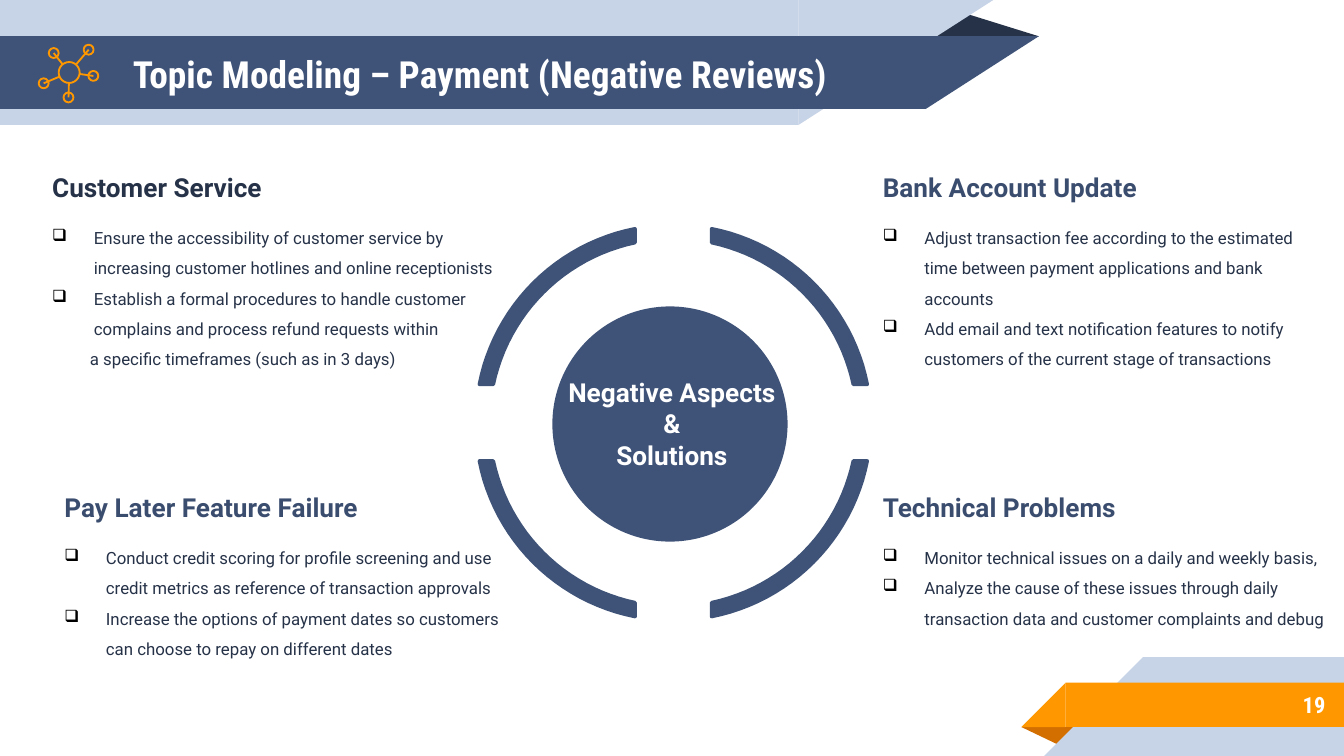
from collections import namedtuple
from itertools import product
from math import acos, asin, cos, sin

from lxml import etree
from pptx import Presentation, util as u
from pptx.dml.color import RGBColor
from pptx.enum import shapes as s, text as t
from pptx.oxml import ns

NAVY = RGBColor(0x3F, 0x53, 0x78)
HEADING = RGBColor(0x3B, 0x4D, 0x6F)
INK = RGBColor(0x26, 0x32, 0x48)
PALE = RGBColor(0xC7, 0xD3, 0xE6)
ORANGE = RGBColor(0xFF, 0x98, 0x00)
RUST = RGBColor(0xD2, 0x6F, 0x00)
WHITE = RGBColor(0xFF, 0xFF, 0xFF)
COLUMNS, ROWS = 100, 56.25
BODY, TITLE = "Roboto", "Roboto Condensed"
RIGHT_TRIANGLE = s.MSO_SHAPE.RIGHT_TRIANGLE

SECTIONS = [
    ((64.7, 12.3, 33.7), "Bank Account Update", HEADING, [
        "Adjust transaction fee according to the estimated time between payment applications and bank accounts",
        "Add email and text notification features to notify customers of the current stage of transactions"], None),
    ((64.7, 36.1, 35.3), "Technical Problems", HEADING, [
        "Monitor technical issues on a daily and weekly basis,",
        "Analyze the cause of these issues through daily transaction data and customer complaints and debug"], None),
    ((2.9, 12.3, 36.5), "Customer Service", INK, [
        "Ensure the accessibility of customer service by increasing customer hotlines and online receptionists",
        "Establish a formal procedures to handle customer complains and process refund requests within"],
     "a specific timeframes (such as in 3 days)"),
    ((3.8, 36.1, 36.5), "Pay Later Feature Failure", HEADING, [
        "Conduct credit scoring for profile screening and use credit metrics as reference of transaction approvals",
        "Increase the options of payment dates so customers can choose to repay on different dates"], None),
]


class Box(namedtuple("Box", "left top width height")):
    """A region measured in grid cells."""

    def area(self, dx, dy, width, height):
        """Return a box offset from this one's corner."""
        return Box(self.left + dx, self.top + dy, width, height)

    def emu(self):
        """Return the box as slide lengths."""
        return [cells(value) for value in self]


def cells(count):
    """Convert grid cells to a slide length."""
    return u.Inches(count * 10 / COLUMNS)


def paint(shape, fill=None, line=None, weight=1):
    """Set the fill and outline and drop the shadow."""
    shape.shadow.inherit = False
    if fill is None:
        shape.fill.background()
    else:
        shape.fill.solid()
        shape.fill.fore_color.rgb = fill
    if line is None:
        shape.line.fill.background()
    else:
        shape.line.color.rgb = line
        shape.line.width = u.Pt(weight)
    return shape


def preset(slide, kind, box, fill=None, line=None, rotation=0, flip=False):
    """Add a painted preset shape."""
    shape = paint(slide.shapes.add_shape(kind, *box.emu()), fill, line)
    shape.rotation = rotation
    if flip:
        shape._element.spPr.find(ns.qn("a:xfrm")).set("flipH", "1")
    return shape


def write(slide, box, lines, size, color, bold=False, font=BODY, align=None, middle=False):
    """Add a wrapped text box and return its paragraphs."""
    frame = slide.shapes.add_textbox(*box.emu()).text_frame
    frame.word_wrap = True
    if middle:
        frame.vertical_anchor = t.MSO_ANCHOR.MIDDLE
    frame.text = "\n".join(lines)
    for paragraph in frame.paragraphs:
        paragraph.alignment = align
        style = paragraph.font
        style.name, style.size, style.bold = font, u.Pt(size), bold
        style.color.rgb = color
    return frame.paragraphs


def indent(paragraph, margin, bullet=None):
    """Indent a paragraph, hanging a bullet when one is given."""
    props = paragraph._p.get_or_add_pPr()
    props.set("marL", str(cells(margin)))
    if bullet:
        props.set("indent", str(-cells(margin)))
        mark = etree.Element(ns.qn("a:buChar"), char=bullet)
        tint = etree.Element(ns.qn("a:buClr"))
        etree.SubElement(tint, ns.qn("a:srgbClr"), val="000000")
        place = 1 if props.find(ns.qn("a:lnSpc")) is not None else 0
        props.insert(place, tint)
        props.insert(place + 1, mark)


def fold(slide, box, color, rotation=0):
    """Add the dark folded corner of a ribbon."""
    preset(slide, s.MSO_SHAPE.ISOSCELES_TRIANGLE, box, color, rotation=rotation).adjustments[0] = 0.32


def header(slide, box, title):
    """Draw the title ribbon with its icon."""
    fold(slide, box.area(68.8, 0.9, 8.5, 1.8), INK)
    for top, length, slant, height, color in [(0, 59.4, 14.5, 9.3, PALE), (2.7, 68.9, 8.4, 5.4, NAVY)]:
        preset(slide, s.MSO_SHAPE.RECTANGLE, box.area(0, top, length, height), color)
        preset(slide, RIGHT_TRIANGLE, box.area(length, top, slant, height), color, rotation=180, flip=True)
    write(slide, box.area(8.9, 2.7, 57.5, 5.6), [title], 20, WHITE, True, TITLE, middle=True)
    network(slide, box.area(2.9, 3.3, 4.4, 4.3))


def network(slide, box):
    """Draw a hub joined to five satellite nodes."""
    hub = (2.25, 2.1)
    for x, y in [(3.7, 0.4), (1.1, 0.65), (0.35, 2.9), (2.2, 3.95), (4.05, 2.35)]:
        reach = 0.78 / ((x - hub[0]) ** 2 + (y - hub[1]) ** 2) ** 0.5
        start = [h + (n - h) * reach for h, n in zip(hub, (x, y))]
        ends = box.area(*start, 0, 0)[:2] + box.area(x, y, 0, 0)[:2]
        spoke = slide.shapes.add_connector(s.MSO_CONNECTOR.STRAIGHT, *map(cells, ends))
        spoke.line.color.rgb = ORANGE
        spoke.line.width = u.Pt(1)
        etree.SubElement(spoke._element.spPr, ns.qn("a:effectLst"))
        preset(slide, s.MSO_SHAPE.OVAL, box.area(x - 0.37, y - 0.37, 0.74, 0.74), line=ORANGE)
    preset(slide, s.MSO_SHAPE.OVAL, box.area(hub[0] - 0.78, hub[1] - 0.78, 1.56, 1.56), line=ORANGE)


def footer(slide, box, number):
    """Draw the page number ribbon."""
    fold(slide, box.area(0, 5.2, 4.3, 1.4), RUST, 180)
    for left, top, side, color in [(1.7, 0, 7.35, PALE), (0, 1.9, 3.3, ORANGE)]:
        start = left + side
        preset(slide, s.MSO_SHAPE.RECTANGLE, box.area(start, top, box.width - start, side), color)
        preset(slide, RIGHT_TRIANGLE, box.area(left, top, side, side), color, flip=True)
    write(slide, box.area(7.3, 1.8, 16.3, 3.5), [number], 12, WHITE, True, TITLE, t.PP_ALIGN.RIGHT, True)


def ring(slide, box, lines):
    """Draw the central disc inside four arcs."""
    center_x, center_y = box.left + box.width / 2, box.top + box.height / 2
    disc = 17.5
    preset(slide, s.MSO_SHAPE.OVAL, box.area(5.3, 5.9, disc, disc), NAVY)
    steps, gap = 24, 2.85
    edge = []
    for radius, order in [(14.7, 1), (13.7, -1)]:
        first, last = asin(gap / radius), acos(gap / radius)
        angles = [first + (last - first) * step / steps for step in range(steps + 1)]
        edge += [(radius * cos(a), radius * sin(a)) for a in angles[::order]]
    for side_x, side_y in product((-1, 1), repeat=2):
        points = [(cells(center_x + side_x * x), cells(center_y + side_y * y)) for x, y in edge]
        outline = slide.shapes.build_freeform(*points[0], scale=1.0)
        outline.add_line_segments(points[1:], close=True)
        paint(outline.convert_to_shape(), NAVY, NAVY, 2)
    write(slide, box.area(3.9, 10.6, 20.6, 8.1), lines, 14, WHITE, True, align=t.PP_ALIGN.CENTER)


def section(slide, box, heading, color, points, closing):
    """Write a heading over its bulleted solutions."""
    write(slide, box.area(0, 0, box.width, 3.4), [heading], 14, color, True)
    lines = points + ([closing] if closing else [])
    body = write(slide, box.area(0, 3.4, box.width, box.height - 3.4), lines, 9, INK)
    for index, paragraph in enumerate(body):
        paragraph.line_spacing = 1.5
        if index < len(points):
            indent(paragraph, 3.1, "❑")
        else:
            indent(paragraph, 2.8)


def main():
    """Build and save the slide."""
    deck = Presentation()
    deck.slide_width, deck.slide_height = cells(COLUMNS), cells(ROWS)
    slide = deck.slides.add_slide(deck.slide_layouts[6])
    header(slide, Box(0, 0, 77.3, 9.3), "Topic Modeling – Payment (Negative Reviews)")
    footer(slide, Box(76, 48.9, 24, 7.35), "19")
    ring(slide, Box(35.8, 16.9, 28.6, 29.1), ["Negative Aspects", "&", "Solutions"])
    for place, heading, color, points, closing in SECTIONS:
        section(slide, Box(*place, 15.5), heading, color, points, closing)
    deck.save("out.pptx")


if __name__ == "__main__":
    main()
